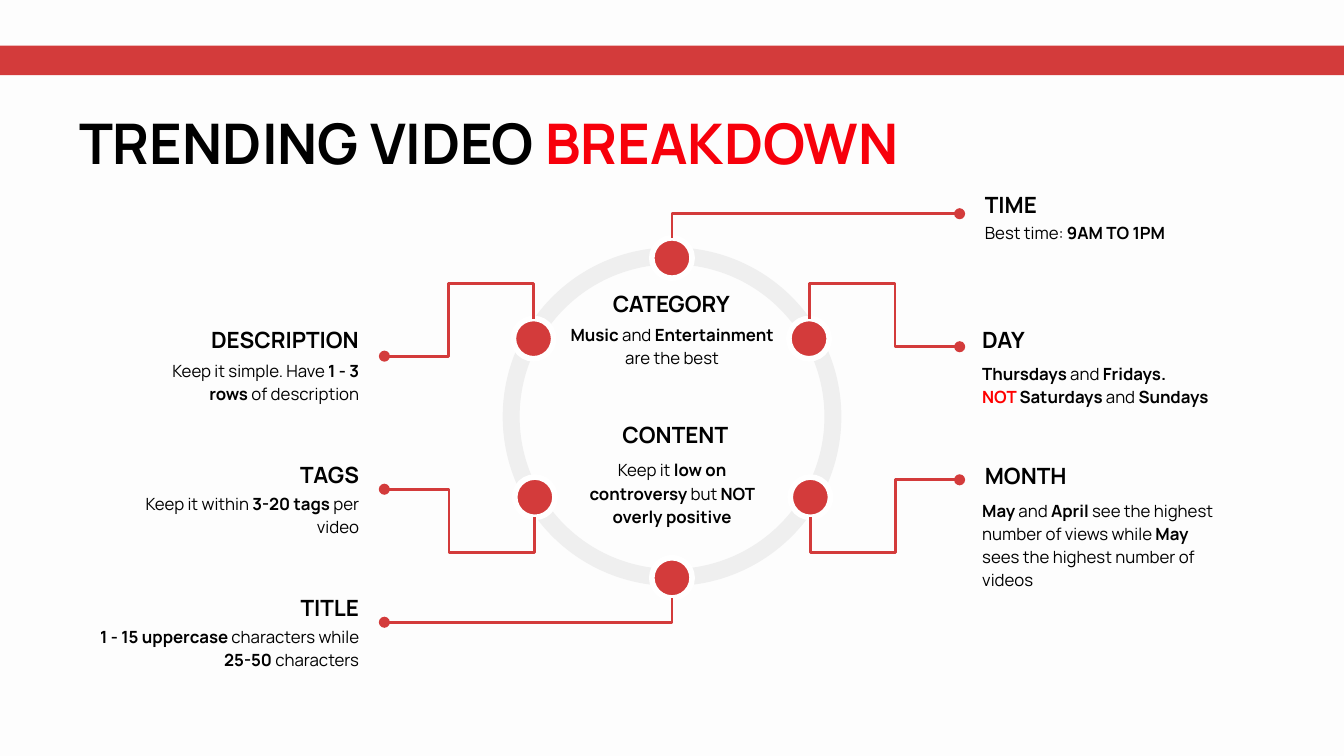
from dataclasses import dataclass
from typing import NamedTuple

from lxml import etree
from pptx import Presentation
from pptx.dml.color import RGBColor
from pptx.enum.shapes import MSO_CONNECTOR, MSO_SHAPE
from pptx.enum.text import MSO_ANCHOR, PP_ALIGN
from pptx.oxml.ns import qn
from pptx.util import Inches, Pt

LEFT, CENTER, RIGHT = PP_ALIGN.LEFT, PP_ALIGN.CENTER, PP_ALIGN.RIGHT
TOP = MSO_ANCHOR.TOP
RECTANGLE, DONUT, OVAL = MSO_SHAPE.RECTANGLE, MSO_SHAPE.DONUT, MSO_SHAPE.OVAL
ELBOW = MSO_CONNECTOR.ELBOW

FONT = "Manrope"
BLACK, WHITE, GREY, PAPER = "000000", "FFFFFF", "EFEFEF", "FDFDFD"
RED, TITLE_RED, WARNING_RED = "D33B3B", "F7000B", "FF0000"
SLIDE_WIDTH = 10
SLIDE_HEIGHT = SLIDE_WIDTH * 9 / 16
DOT = 0.3
TEXT_HEIGHT = 0.49


class Run(NamedTuple):
    text: str
    bold: bool = False
    color: str = BLACK


class Box(NamedTuple):
    left: float
    top: float
    width: float
    height: float = TEXT_HEIGHT


@dataclass
class Topic:
    heading: str
    heading_box: Box
    body: str | list[Run]
    body_box: Box
    align: PP_ALIGN


@dataclass
class Route:
    """An elbow line from a dot; lane holds the x and y of its middle legs."""
    start: tuple[float, float]
    end: tuple[float, float]
    lane: tuple[float, float] | None = None


def rgb(color: str) -> RGBColor:
    return RGBColor.from_string(color)


def starred(text: str) -> list[Run]:
    """Split text into runs; the parts between asterisks are bold."""
    return [Run(part, i % 2 == 1) for i, part in enumerate(text.split("*")) if part]


def add_text(slide, box: Box, text: str | list[Run], *, size: float,
             align: PP_ALIGN = LEFT, spacing: float = 1.0) -> None:
    frame = slide.shapes.add_textbox(*map(Inches, box)).text_frame
    frame.word_wrap = True
    frame.vertical_anchor = TOP
    frame.margin_left = frame.margin_right = Inches(0.1)
    frame.margin_top = frame.margin_bottom = Inches(0.1)
    paragraph = frame.paragraphs[0]
    paragraph.alignment = align
    paragraph.line_spacing = spacing
    for part in starred(text) if isinstance(text, str) else text:
        for i, line in enumerate(part.text.split("\n")):
            if i:
                paragraph.add_line_break()
            if line:
                run = paragraph.add_run()
                run.text = line
                run.font.name = FONT
                run.font.size = Pt(size)
                run.font.bold = part.bold
                run.font.color.rgb = rgb(part.color)


def add_filled(slide, preset: MSO_SHAPE, box: Box, fill: str, outline: str | None = None):
    shape = slide.shapes.add_shape(preset, *map(Inches, box))
    shape.shadow.inherit = False
    shape.fill.solid()
    shape.fill.fore_color.rgb = rgb(fill)
    if outline:
        shape.line.color.rgb = rgb(outline)
        shape.line.width = Pt(3)
    else:
        shape.line.fill.background()
    return shape


def add_route(slide, route: Route) -> None:
    """Draw a line that leaves its dot vertically and ends in a round head."""
    (x0, y0), (x1, y1) = route.start, route.end
    dx, dy = x1 - x0, y1 - y0
    # The frame lies on its side, so width follows dy and height follows dx.
    left = (x0 + x1 - abs(dy)) / 2
    top = (y0 + y1 - abs(dx)) / 2
    line = slide.shapes.add_connector(
        ELBOW, Inches(left), Inches(top), Inches(left + abs(dy)), Inches(top + abs(dx)))
    line.line.color.rgb = rgb(RED)
    line.line.width = Pt(1.5)

    properties = line._element.spPr
    frame = properties.find(qn("a:xfrm"))
    frame.set("rot", str((270 if dx > 0 else 90) * 60000))
    if dx * dy > 0:
        frame.set("flipH", "1")
    geometry = properties.find(qn("a:prstGeom"))
    geometry.set("prst", "bentConnector4" if route.lane else "bentConnector2")
    if route.lane:
        guides = geometry.find(qn("a:avLst"))
        lane_x, lane_y = route.lane
        for i, ratio in enumerate(((lane_y - y0) / dy, (lane_x - x0) / dx), 1):
            etree.SubElement(guides, qn("a:gd"), name=f"adj{i}",
                             fmla=f"val {round(ratio * 100000)}")
    etree.SubElement(properties.find(qn("a:ln")), qn("a:tailEnd"), type="oval")
    etree.SubElement(properties, qn("a:effectLst"))


def add_topic(slide, topic: Topic) -> None:
    add_text(slide, topic.heading_box, [Run(topic.heading, True)], size=12, align=topic.align)
    add_text(slide, topic.body_box, topic.body, size=9, align=topic.align, spacing=1.15)


DOTS = [(4.85, 1.77), (4.85, 4.15), (5.87, 2.37), (3.82, 2.37), (5.88, 3.55), (3.83, 3.55)]

ROUTES = [
    Route((5, 1.77), (7.14, 1.59)),
    Route((5, 4.45), (2.86, 4.63)),
    Route((3.98, 3.85), (2.86, 3.64), (3.34, 4.11)),
    Route((3.97, 2.37), (2.86, 2.65), (3.34, 2.11)),
    Route((6.02, 2.37), (7.14, 2.58), (6.66, 2.11)),
    Route((6.03, 3.85), (7.14, 3.57), (6.66, 4.11)),
]

TOPICS = [
    Topic("DESCRIPTION", Box(0.97, 2.33, 1.8),
          "Keep it simple. Have *1 - 3 rows* of description", Box(0.88, 2.56, 1.89), RIGHT),
    Topic("TAGS", Box(0.97, 3.33, 1.8),
          "Keep it within *3-20 tags* per video", Box(0.78, 3.55, 1.99), RIGHT),
    Topic("TITLE", Box(0.97, 4.32, 1.8),
          "*1 - 15 uppercase* characters while *25-50* characters",
          Box(0.63, 4.54, 2.14), RIGHT),
    Topic("TIME", Box(7.23, 1.32, 1.8),
          "Best time: *9AM TO 1PM*", Box(7.23, 1.55, 1.95), LEFT),
    Topic("DAY", Box(7.21, 2.33, 1.8),
          [*starred("*Thursdays* and *Fridays.\n*"), Run("NOT ", True, WARNING_RED),
           *starred("*Saturdays *and *Sundays*")], Box(7.21, 2.58, 2.14), LEFT),
    Topic("MONTH", Box(7.23, 3.34, 1.36),
          "*May* and *April* see the highest number of views while *May*"
          " sees the highest number of videos", Box(7.21, 3.6, 1.95), LEFT),
    Topic("CATEGORY", Box(4.37, 2.06, 1.25),
          "*Music* and *Entertainment* are the best", Box(4.14, 2.29, 1.72), CENTER),
    Topic("CONTENT", Box(4.33, 3.03, 1.39),
          "Keep it *low on controversy *but *NOT overly positive*",
          Box(4.14, 3.3, 1.72), CENTER),
]


def main() -> None:
    presentation = Presentation()
    presentation.slide_width = Inches(SLIDE_WIDTH)
    presentation.slide_height = Inches(SLIDE_HEIGHT)
    slide = presentation.slides.add_slide(presentation.slide_layouts[6])
    slide.background.fill.solid()
    slide.background.fill.fore_color.rgb = rgb(PAPER)

    add_filled(slide, RECTANGLE, Box(0, 0.34, SLIDE_WIDTH, 0.22), RED)
    add_text(slide, Box(0.49, 0.71, 9, 0.88),
             [Run("TRENDING VIDEO", True), Run(" BREAKDOWN", True, TITLE_RED)], size=30)

    ring = add_filled(slide, DONUT, Box(3.74, 1.84, 2.52, 2.52), GREY)
    ring.adjustments[0] = 0.05
    for left, top in DOTS:
        add_filled(slide, OVAL, Box(left, top, DOT, DOT), RED, WHITE)
    for route in ROUTES:
        add_route(slide, route)
    for topic in TOPICS:
        add_topic(slide, topic)

    presentation.save("out.pptx")


if __name__ == "__main__":
    main()
